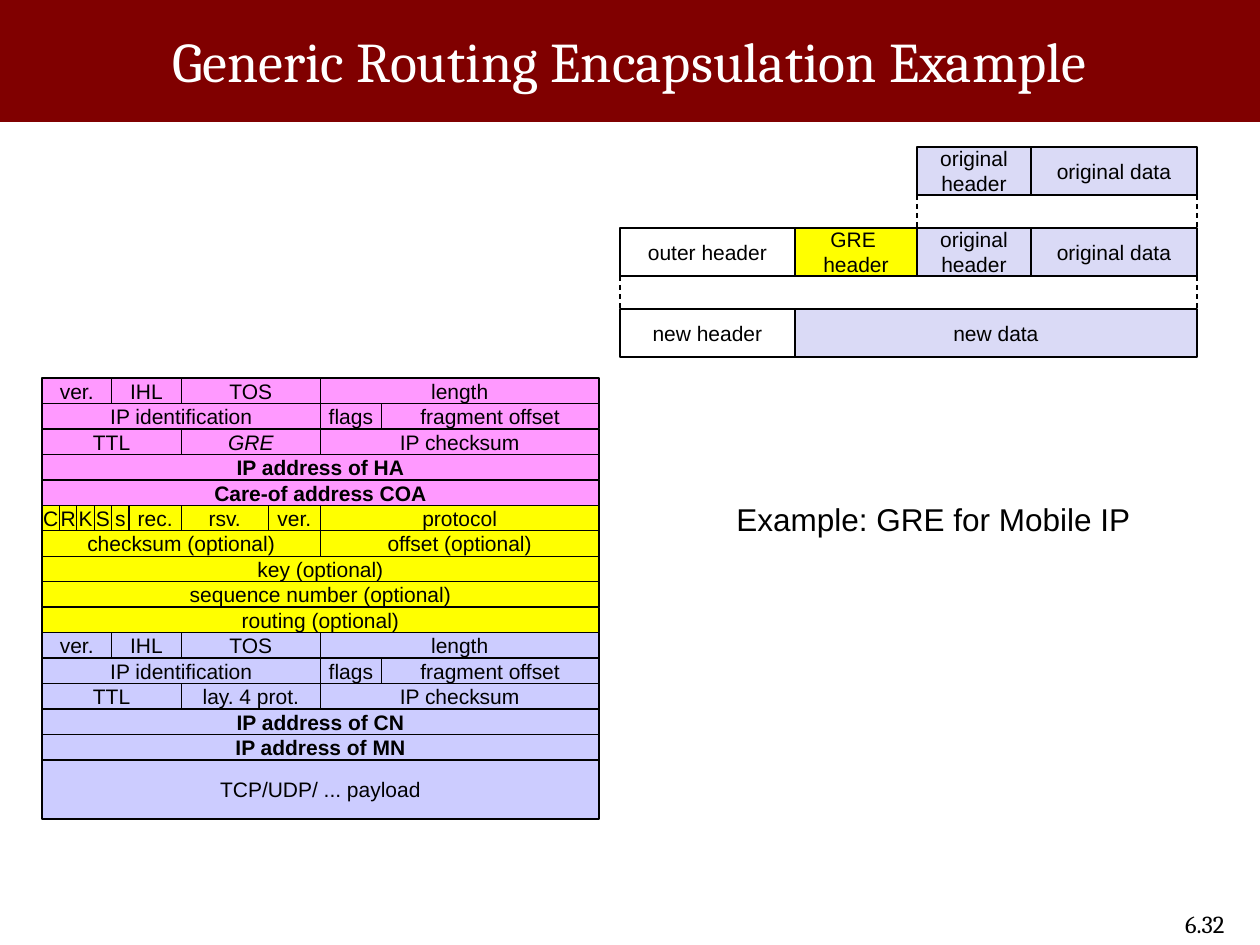
from lxml.etree import SubElement
from pptx import Presentation
from pptx.dml.color import RGBColor
from pptx.enum.dml import MSO_LINE_DASH_STYLE as Dash
from pptx.enum.shapes import MSO_CONNECTOR as Connector, MSO_SHAPE as Shape
from pptx.enum.text import MSO_ANCHOR as Anchor, PP_ALIGN as Align
from pptx.oxml.ns import qn
from pptx.util import Emu, Pt

PX_PER_INCH = 126
BLACK = RGBColor(0x00, 0x00, 0x00)
WHITE = RGBColor(0xFF, 0xFF, 0xFF)
MAROON = RGBColor(0x80, 0x00, 0x00)
LAVENDER = RGBColor(0xDA, 0xDA, 0xF6)
YELLOW = RGBColor(0xFF, 0xFF, 0x00)
PINK = RGBColor(0xFF, 0x99, 0xFF)
PERIWINKLE = RGBColor(0xCC, 0xCC, 0xFF)

# Encapsulation diagram: shared column edges and row tops
OUTER, GRE, HEADER, DATA, END = 620, 795, 917, 1031, 1197
ORIGINAL_TOP, WRAPPED_TOP, NEW_TOP = 147, 228, 309
PACKET_HEIGHT = 48

# Packet layout: every row is 32 bits wide
LAYOUT_LEFT, LAYOUT_RIGHT, LAYOUT_TOP, LAYOUT_BOTTOM = 42, 599, 378, 819
PAYLOAD_TOP = 760
BITS = 32


def px(length):
    return Emu(round(length * 914400 / PX_PER_INCH))


def add_text(frame, text, size, font, color=BLACK, align=Align.CENTER,
             bold=False, italic=False):
    """Write text into a frame, one paragraph per line."""
    for index, line in enumerate(text.split("\n")):
        para = frame.add_paragraph() if index else frame.paragraphs[0]
        para.alignment = align
        span = para.add_run()
        span.text = line
        span.font.name = font
        span.font.size = Pt(size)
        span.font.color.rgb = color
        span.font.bold = bold
        span.font.italic = italic


def add_box(shapes, left, top, right, bottom, fill, line=BLACK, weight=0.75):
    box = shapes.add_shape(Shape.RECTANGLE, px(left), px(top),
                           px(right - left), px(bottom - top))
    box.shadow.inherit = False
    box.fill.solid()
    box.fill.fore_color.rgb = fill
    box.line.color.rgb = line
    box.line.width = Pt(weight)
    return box


def add_field(shapes, left, top, right, bottom, fill, text, **style):
    """Add a packet field: a box with a centred label."""
    frame = add_box(shapes, left, top, right, bottom, fill).text_frame
    frame.word_wrap = False
    frame.vertical_anchor = Anchor.MIDDLE
    frame.margin_left = frame.margin_right = 0
    frame.margin_top = frame.margin_bottom = 0
    add_text(frame, text, 12, "Arial", **style)


def add_dashed_line(shapes, x, top, bottom):
    line = shapes.add_connector(Connector.STRAIGHT,
                                px(x), px(top), px(x), px(bottom))
    line.line.color.rgb = BLACK
    line.line.width = Pt(0.75)
    line.line.dash_style = Dash.DASH
    SubElement(line._element.spPr, qn("a:effectLst"))


def add_label(page, left, top, width, height, text, size, font, align):
    frame = page.shapes.add_textbox(px(left), px(top),
                                    px(width), px(height)).text_frame
    frame.word_wrap = True
    add_text(frame, text, size, font, align=align)


def add_title(page, text):
    """Add the banner and lay the title over it."""
    banner = add_box(page.shapes, 0, 0, 1260, 120, MAROON, MAROON, 2)
    page.shapes._spTree.insert(2, banner._element)
    title = page.shapes.title
    title.left, title.top = px(63), px(10)
    title.width, title.height = px(1134), px(100)
    title.text_frame.vertical_anchor = Anchor.MIDDLE
    add_text(title.text_frame, text, 32, "Cambria", WHITE)


def add_encapsulation(page):
    """Show the original packet wrapped by GRE, then seen as a new packet."""
    shapes = page.shapes.add_group_shape().shapes
    original = [(HEADER, DATA, LAVENDER, "original\nheader"),
                (DATA, END, LAVENDER, "original data")]
    packets = [
        (ORIGINAL_TOP, original),
        (WRAPPED_TOP, [(OUTER, GRE, WHITE, "outer header"),
                       (GRE, HEADER, YELLOW, "GRE \nheader")] + original),
        (NEW_TOP, [(OUTER, GRE, WHITE, "new header"),
                   (GRE, END, LAVENDER, "new data")]),
    ]
    for top, fields in packets:
        for left, right, fill, text in fields:
            add_field(shapes, left, top, right, top + PACKET_HEIGHT, fill, text)
    for left, top, bottom in [(HEADER, ORIGINAL_TOP, WRAPPED_TOP),
                              (OUTER, WRAPPED_TOP, NEW_TOP)]:
        for x in (left, END):
            add_dashed_line(shapes, x, top + PACKET_HEIGHT, bottom)


def ip_header(protocol, source, destination):
    """Rows of an IP header, each field as (label, bits)."""
    return [
        [("ver.", 4), ("IHL", 4), ("TOS", 8), ("length", 16)],
        [("IP identification", 16), ("flags", 3.5), ("fragment offset", 12.5)],
        [("TTL", 8), (protocol, 8), ("IP checksum", 16)],
        [(source, BITS)],
        [(destination, BITS)],
    ]


def add_packet_layout(page):
    shapes = page.shapes.add_group_shape().shapes
    gre_header = [
        [(flag, 1) for flag in "CRKSs"]
        + [("rec.", 3), ("rsv.", 5), ("ver.", 3), ("protocol", 16)],
        [("checksum (optional)", 16), ("offset (optional)", 16)],
        [("key (optional)", BITS)],
        [("sequence number (optional)", BITS)],
        [("routing (optional)", BITS)],
    ]
    sections = [
        (PINK, ip_header("GRE", "IP address of HA", "Care-of address COA")),
        (YELLOW, gre_header),
        (PERIWINKLE, ip_header("lay. 4 prot.", "IP address of CN",
                               "IP address of MN")),
    ]
    rows = [(fill, row) for fill, section in sections for row in section]
    row_height = (PAYLOAD_TOP - LAYOUT_TOP) / len(rows)
    bit_width = (LAYOUT_RIGHT - LAYOUT_LEFT) / BITS
    for index, (fill, row) in enumerate(rows):
        top = LAYOUT_TOP + index * row_height
        left = LAYOUT_LEFT
        for text, bits in row:
            right = left + bits * bit_width
            add_field(shapes, left, top, right, top + row_height, fill, text,
                      bold="address" in text, italic=text == "GRE")
            left = right
    add_field(shapes, LAYOUT_LEFT, PAYLOAD_TOP, LAYOUT_RIGHT, LAYOUT_BOTTOM,
              PERIWINKLE, "TCP/UDP/ ... payload")


def main():
    deck = Presentation()
    deck.slide_width, deck.slide_height = px(1260), px(945)
    page = deck.slides.add_slide(deck.slide_layouts[5])
    add_title(page, "Generic Routing Encapsulation Example")
    add_label(page, 960, 903, 277, 38, "6.32", 14, "Cambria", Align.RIGHT)
    add_encapsulation(page)
    add_packet_layout(page)
    add_label(page, 724, 494, 422, 50, "Example: GRE for Mobile IP",
              18, "Arial", Align.LEFT)
    deck.save("out.pptx")


if __name__ == "__main__":
    main()
